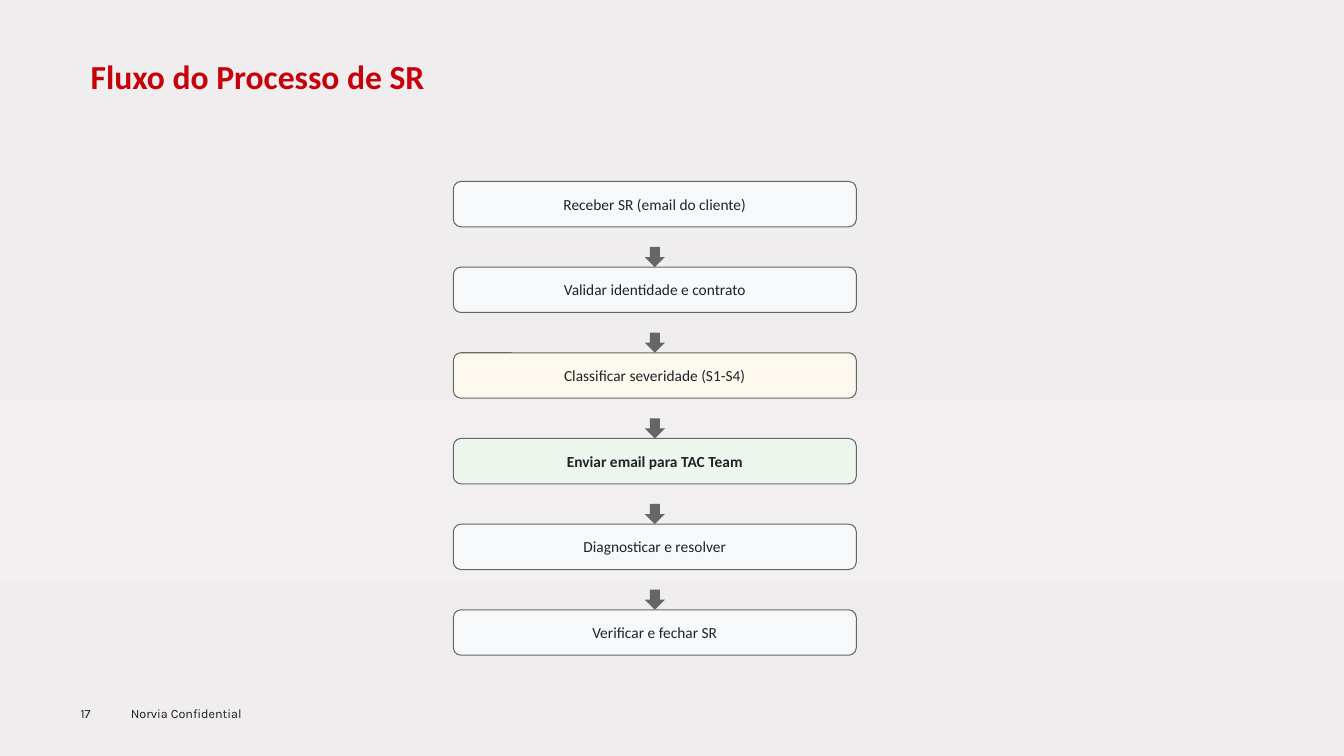
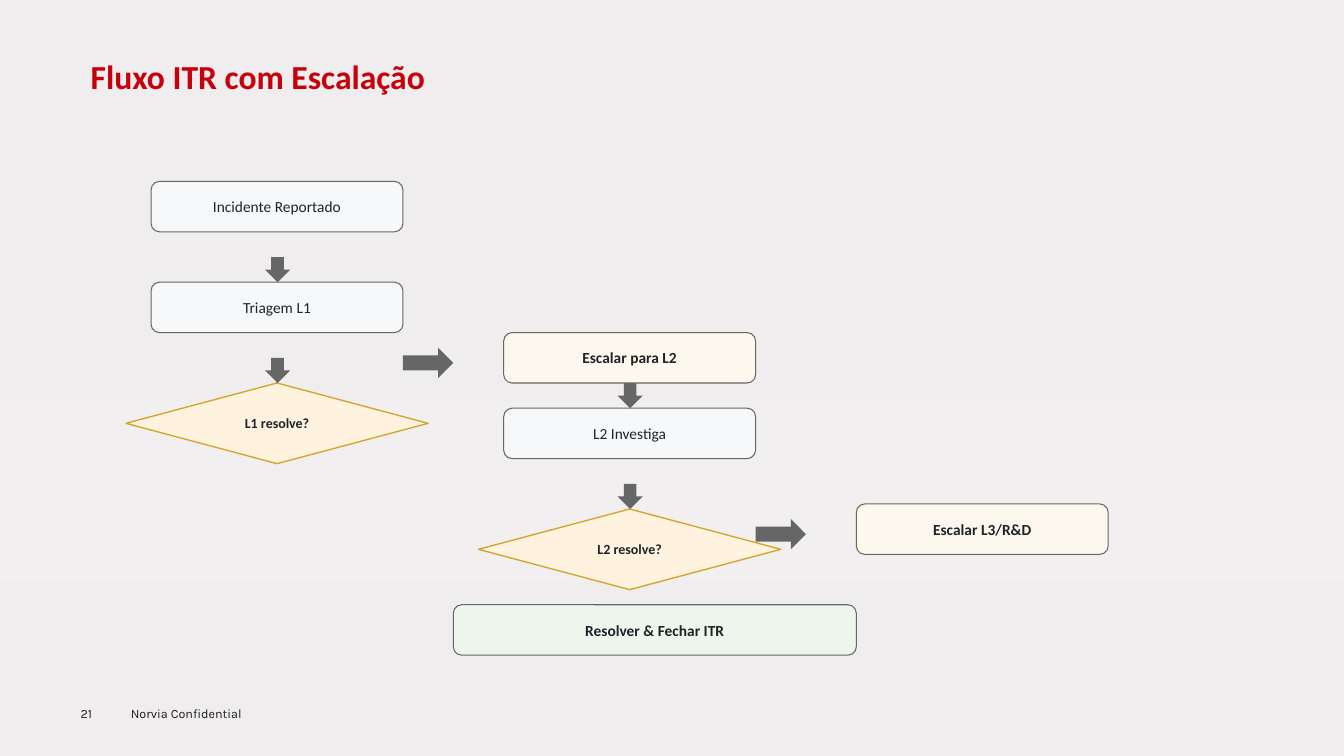
import copy

import pptx
import pptx.dml.color
import pptx.enum.shapes
import pptx.enum.text
import pptx.oxml.ns
import pptx.util

PX = 9144  # 100 px to the inch
COLORS = {
    "title": "C7000B", "footer": "1D1D1B", "text": "1F2328",
    "gray": "666666", "step": "F6F8FA", "escalate": "FDF8EE",
    "done": "EDF6ED", "decision": "FFF3E0", "decision_line": "D4A72C",
}
BACKGROUND = [(0, "EFEDEE"), (0.53, "F1EFF0"), (0.77, "EFEDEE"), (1, "EFEBEC")]
SHAPE = pptx.enum.shapes.MSO_SHAPE
ALIGN = pptx.enum.text.PP_ALIGN
ANCHOR = pptx.enum.text.MSO_ANCHOR


def rgb(name):
    return pptx.dml.color.RGBColor.from_string(COLORS[name])


def emu(*lengths):
    return [pptx.util.Emu(n * PX) for n in lengths]


def set_font(p, name, size, color, bold=False):
    p.font.name = name
    p.font.size = pptx.util.Pt(size)
    p.font.bold = bold
    p.font.color.rgb = rgb(color)


def set_background(master):
    fill = master.background.fill
    fill.gradient()
    fill.gradient_angle = 270
    stop_list = master.element.find(".//" + pptx.oxml.ns.qn("p:bg")).find(
        ".//" + pptx.oxml.ns.qn("a:gsLst"))
    while len(stop_list) < len(BACKGROUND):
        stop_list.append(copy.deepcopy(stop_list[0]))
    for stop, (position, color) in zip(fill.gradient_stops, BACKGROUND):
        stop.position = position
        stop.color.rgb = pptx.dml.color.RGBColor.from_string(color)


def add_footer_text(s, text, x, y, w, h, inset=None):
    tf = s.shapes.add_textbox(*emu(x, y, w, h)).text_frame
    tf.word_wrap = True
    if inset is not None:
        tf.margin_left = tf.margin_right = inset
        tf.margin_top = tf.margin_bottom = inset
    tf.text = text
    set_font(tf.paragraphs[0], "Karla", 9, "footer")


def add_slide(prs, title, number):
    """Add a slide with the shared title style and footer."""
    s = prs.slides.add_slide(prs.slide_layouts.get_by_name("Title Only"))
    add_footer_text(s, "Norvia Confidential", 120, 695, 383, 25)
    add_footer_text(s, str(number), 80, 700, 55, 15, inset=0)
    sp = s.shapes.title
    sp.left, sp.top, sp.width, sp.height = emu(80, 55, 1174, 46)
    tf = sp.text_frame
    tf.text = title
    tf.vertical_anchor = ANCHOR.TOP
    tf.auto_size = pptx.enum.text.MSO_AUTO_SIZE.NONE
    p = tf.paragraphs[0]
    p.alignment = ALIGN.LEFT
    p.line_spacing = 0.9
    set_font(p, "Calibri", 24, "title", bold=True)
    return s


def add_filled(s, kind, x, y, w, h, fill):
    sp = s.shapes.add_shape(kind, *emu(x, y, w, h))
    sp.shadow.inherit = False
    sp.fill.solid()
    sp.fill.fore_color.rgb = rgb(fill)
    return sp


def add_node(s, kind, text, x, y, w, h, fill, line, line_width, size, bold):
    sp = add_filled(s, kind, x, y, w, h, fill)
    sp.line.color.rgb = rgb(line)
    sp.line.width = pptx.util.Pt(line_width)
    tf = sp.text_frame
    tf.word_wrap = True
    tf.vertical_anchor = ANCHOR.MIDDLE
    tf.text = text
    p = tf.paragraphs[0]
    p.alignment = ALIGN.CENTER
    set_font(p, "Calibri", size, "text", bold)


def add_box(s, text, x, y, w, h, fill="step", bold=False):
    add_node(s, SHAPE.ROUNDED_RECTANGLE, text, x, y, w, h, fill,
             "gray", 0.75, 11, bold)


def add_decision(s, text, x, y):
    add_node(s, SHAPE.DIAMOND, text, x, y, 300, 80, "decision",
             "decision_line", 1, 10, True)


def add_arrow(s, kind, x, y, w, h):
    add_filled(s, kind, x, y, w, h, "gray").line.fill.background()


def add_down_arrow(s, center, tip, size):
    add_arrow(s, SHAPE.DOWN_ARROW, center - size // 2, tip - size, size, size)


def add_right_arrow(s, x, y):
    add_arrow(s, SHAPE.RIGHT_ARROW, x, y, 50, 30)


def build_request_flow(prs):
    s = add_slide(prs, "Fluxo do Processo de SR", 17)
    steps = [
        ("Receber SR (email do cliente)", "step"),
        ("Validar identidade e contrato", "step"),
        ("Classificar severidade (S1-S4)", "escalate"),
        ("Enviar email para TAC Team", "done"),
        ("Diagnosticar e resolver", "step"),
        ("Verificar e fechar SR", "step"),
    ]
    for i, (text, fill) in enumerate(steps):
        y = 180 + 85 * i
        if i:
            add_down_arrow(s, 650, y, 20)
        add_box(s, text, 450, y, 400, 45, fill, bold=fill == "done")


def build_escalation_flow(prs):
    s = add_slide(prs, "Fluxo ITR com Escalação", 21)
    boxes = [
        ("Incidente Reportado", 150, 180, 250, "step"),
        ("Triagem L1", 150, 280, 250, "step"),
        ("Escalar para L2", 500, 330, 250, "escalate"),
        ("L2 Investiga", 500, 405, 250, "step"),
        ("Escalar L3/R&D", 850, 500, 250, "escalate"),
        ("Resolver & Fechar ITR", 450, 600, 400, "done"),
    ]
    for text, x, y, w, fill in boxes:
        add_box(s, text, x, y, w, 50, fill, bold=fill != "step")
    add_decision(s, "L1 resolve?", 125, 380)
    add_decision(s, "L2 resolve?", 475, 505)
    for center, tip in [(275, 280), (275, 380), (625, 405), (625, 505)]:
        add_down_arrow(s, center, tip, 25)
    add_right_arrow(s, 400, 345)
    add_right_arrow(s, 750, 515)


def main():
    prs = pptx.Presentation()
    prs.slide_width, prs.slide_height = emu(1334, 750)
    set_background(prs.slide_master)
    build_request_flow(prs)
    build_escalation_flow(prs)
    prs.save("out.pptx")


if __name__ == "__main__":
    main()
